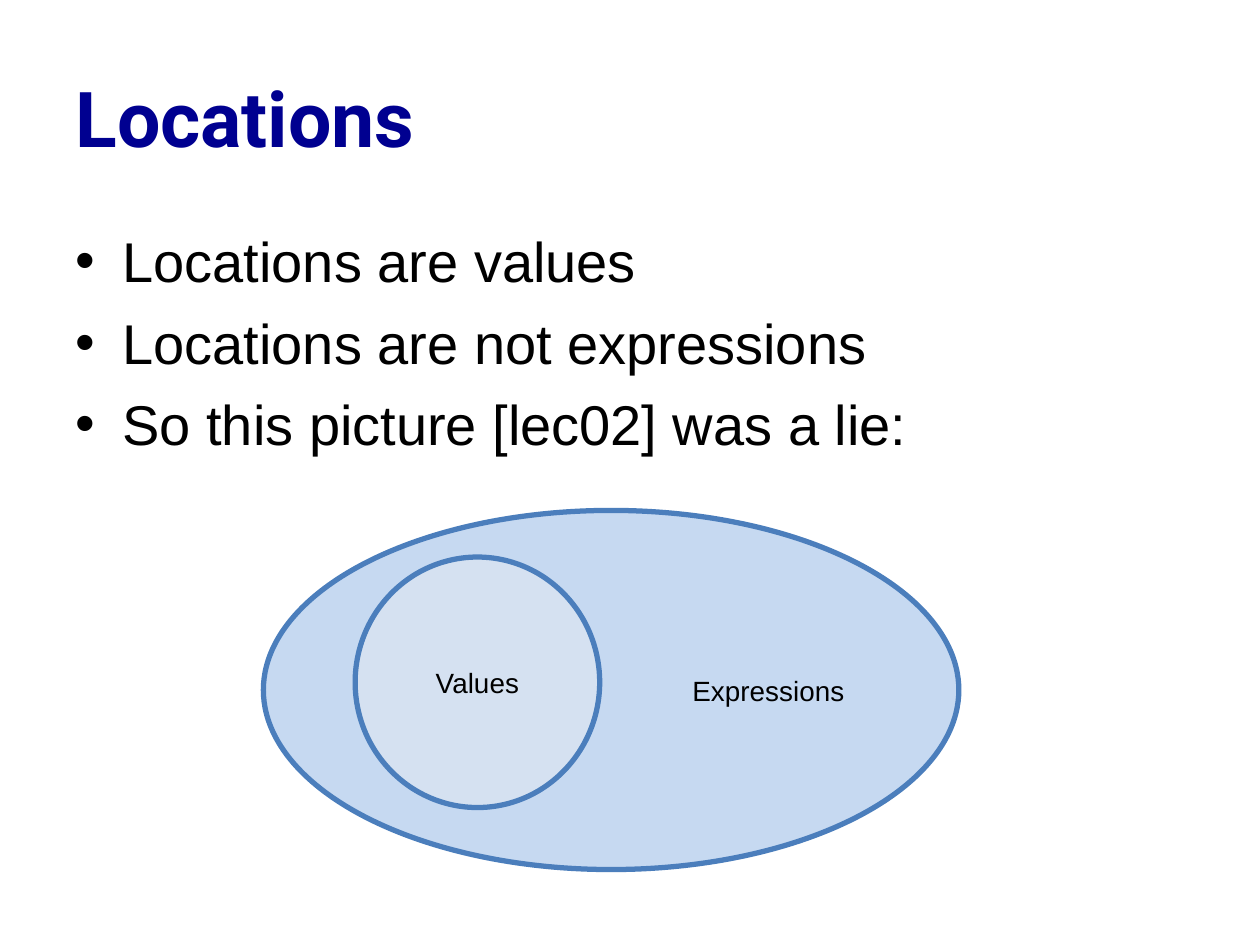
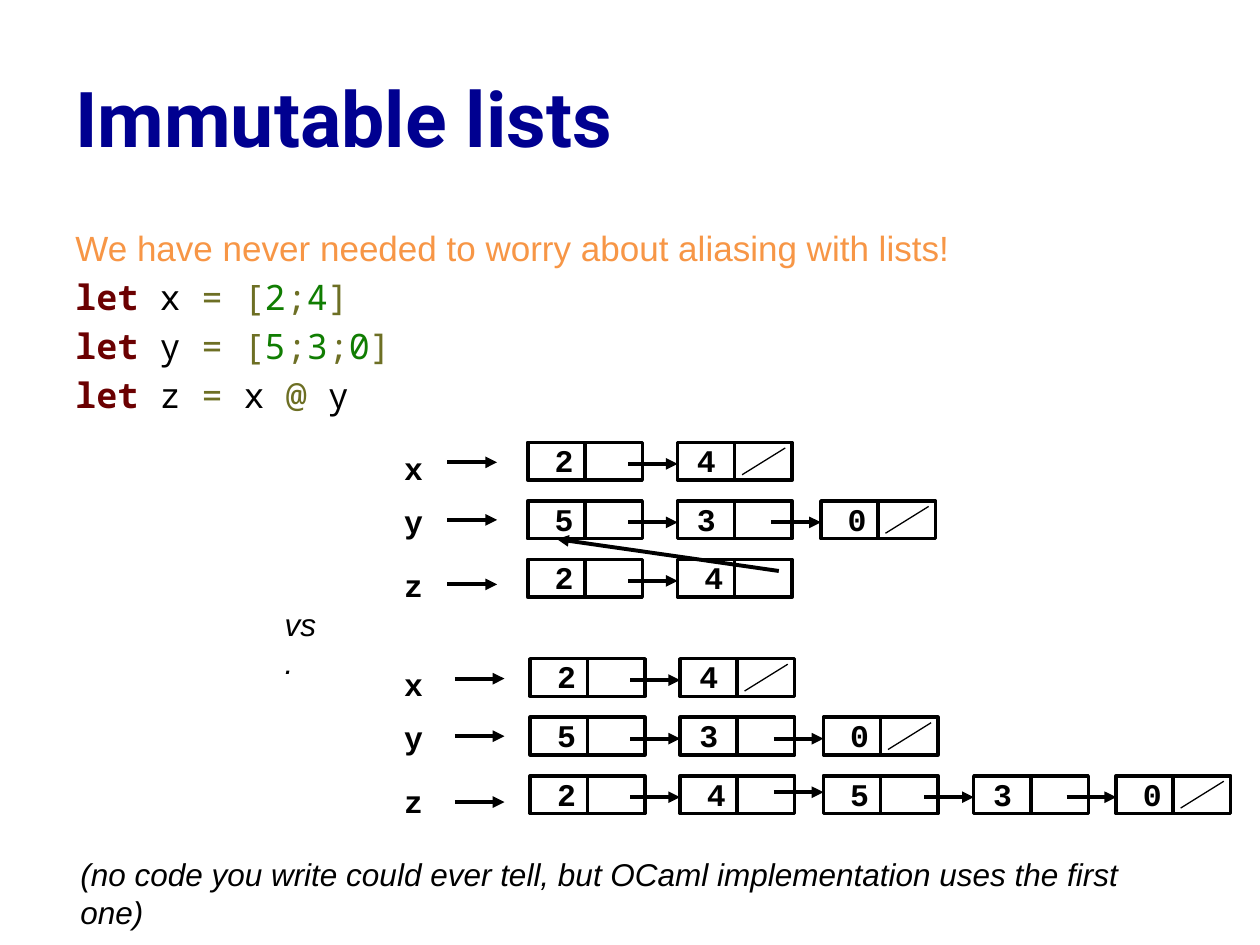
from dataclasses import dataclass
from itertools import groupby

from pptx import Presentation
from pptx.dml.color import RGBColor
from pptx.enum.shapes import MSO_CONNECTOR as Connector, MSO_SHAPE as Preset
from pptx.enum.text import MSO_ANCHOR as Anchor, PP_ALIGN as Align
from pptx.oxml.ns import qn
from pptx.util import Cm, Pt
from lxml.etree import SubElement


@dataclass(frozen=True)
class Theme:
    title_color: str = "000090"
    text_color: str = "000000"
    accent: str = "F79646"
    outer_fill: str = "C6D9F1"
    inner_fill: str = "DCE6F2"
    oval_line: str = "4B7EBC"
    keyword: str = "6B0001"
    number: str = "107D02"
    symbol: str = "6D6F24"
    title_font: str = "Roboto"
    body_font: str = "Arial"
    code_font: str = "Noto Sans Mono"
    cell_font: str = "Courier New"
    title_size: float = 44
    bullet_size: float = 32
    code_size: float = 20
    note_size: float = 18
    oval_size: float = 15.9


@dataclass(frozen=True)
class ListRow:
    name: str
    digits: str
    tight_column: int = 1      # column whose digit sits closer to the left edge
    name_shift: float = 0
    pointer_drop: float = 0.4
    ends_in_nil: bool = True
    raised_link: int = 0       # column whose incoming link is slightly higher


THEME = Theme()

# Measures of the list diagrams, in centimetres
BODY_BOX = (1.27, 4.45, 22.86, 12.57)
COLUMN_OFFSETS = (0, 3.02, 5.91, 8.94, 11.81)
ROW_PITCH = 1.18
CELL_WIDTH, CELL_HEIGHT = 2.31, 0.76
DIVIDER_OFFSET = 1.15
ARROW_LENGTH = 1.0
NAME_LEFT = 7.9


# Text

def style_run(run, size, font=THEME.body_font, color=THEME.text_color,
              bold=False, italic=False):
    run.font.size = Pt(size)
    run.font.name = font
    run.font.color.rgb = RGBColor.from_string(color)
    run.font.bold = bold
    run.font.italic = italic


def add_text(slide, box, text, size, anchor=Anchor.TOP, **style):
    shape = slide.shapes.add_textbox(*map(Cm, box))
    frame = shape.text_frame
    frame.word_wrap = True
    frame.vertical_anchor = anchor
    frame.text = text
    for paragraph in frame.paragraphs:
        for run in paragraph.runs:
            style_run(run, size, **style)
    return frame


def add_title(slide, text):
    add_text(slide, (1.27, 0.76, 22.86, 3.18), text, THEME.title_size,
             Anchor.MIDDLE, font=THEME.title_font, color=THEME.title_color,
             bold=True)


def set_spacing(paragraph, before, after):
    paragraph.space_before = Pt(before)
    paragraph.space_after = Pt(after)


def add_bullets(slide, lines):
    frame = add_text(slide, BODY_BOX, "\n".join(lines), THEME.bullet_size)
    for paragraph in frame.paragraphs:
        set_spacing(paragraph, 4, 4)
        properties = paragraph._p.get_or_add_pPr()
        properties.set("marL", str(Cm(0.95)))
        properties.set("indent", str(-Cm(0.95)))
        SubElement(properties, qn("a:buFont")).set("typeface", "Arial")
        SubElement(properties, qn("a:buChar")).set("char", "•")


def token_color(character):
    if character.isdigit():
        return THEME.number
    if character.isalpha() or character == " ":
        return THEME.text_color
    return THEME.symbol


def add_code_line(frame, keyword, rest):
    paragraph = frame.add_paragraph()
    paragraph.text = keyword
    style_run(paragraph.runs[0], THEME.code_size, THEME.code_font,
              THEME.keyword, bold=True)
    for color, characters in groupby(rest, token_color):
        run = paragraph.add_run()
        run.text = "".join(characters)
        style_run(run, THEME.code_size, THEME.code_font, color)
    set_spacing(paragraph, 2, 3)
    paragraph.line_spacing = Pt(23)


# Shapes and lines

def add_shape(slide, preset, box, line_color, line_width, fill=None):
    shape = slide.shapes.add_shape(preset, *map(Cm, box))
    shape.shadow.inherit = False
    if fill:
        shape.fill.solid()
        shape.fill.fore_color.rgb = RGBColor.from_string(fill)
    else:
        shape.fill.background()
    shape.line.color.rgb = RGBColor.from_string(line_color)
    shape.line.width = Pt(line_width)
    return shape


def add_oval(slide, box, label, fill, align, opacity=None):
    shape = add_shape(slide, Preset.OVAL, box, THEME.oval_line, 3, fill)
    if opacity:
        color = shape._element.spPr.find(qn("a:solidFill"))[0]
        SubElement(color, qn("a:alpha")).set("val", str(opacity * 1000))
    shape.text_frame.text = label
    paragraph = shape.text_frame.paragraphs[0]
    paragraph.alignment = align
    style_run(paragraph.runs[0], THEME.oval_size)


def add_line(slide, start, end, width, arrow=False):
    connector = slide.shapes.add_connector(
        Connector.STRAIGHT, *map(Cm, (*start, *end)))
    connector.line.color.rgb = RGBColor.from_string(THEME.text_color)
    connector.line.width = Pt(width)
    if arrow:
        line = connector.line._get_or_add_ln()
        SubElement(line, qn("a:tailEnd")).set("type", "triangle")
    SubElement(connector._element.spPr, qn("a:effectLst"))


def add_arrow(slide, left, y):
    add_line(slide, (left, y), (left + ARROW_LENGTH, y), 2.25, arrow=True)


# Linked lists

def add_cell(slide, left, top, digit, digit_offset):
    add_shape(slide, Preset.RECTANGLE, (left, top, CELL_WIDTH, CELL_HEIGHT),
              THEME.text_color, 2)
    divider = left + DIVIDER_OFFSET
    add_line(slide, (divider, top), (divider, top + CELL_HEIGHT), 2)
    add_text(slide, (left + digit_offset, top - 0.15, 0.78, 0.91), digit,
             THEME.note_size, font=THEME.cell_font, bold=True)


def add_list_row(slide, row, left, top, pointer_left):
    add_text(slide, (NAME_LEFT, top + row.name_shift, 0.76, 0.64), row.name,
             THEME.note_size, font=THEME.cell_font, bold=True)
    add_arrow(slide, pointer_left, top + row.pointer_drop)
    for column, digit in enumerate(row.digits):
        cell_left = left + COLUMN_OFFSETS[column]
        digit_offset = 0.14 if column == row.tight_column else 0.29
        add_cell(slide, cell_left, top, digit, digit_offset)
        if column:
            drop = 0.33 if column == row.raised_link else 0.43
            add_arrow(slide, cell_left - ARROW_LENGTH, top + drop)
    if row.ends_in_nil:
        add_line(slide, (cell_left + 1.3, top + 0.65),
                 (cell_left + 2.17, top + 0.11), 0.75)


def add_list_diagram(slide, rows, left, top, pointer_left):
    for index, row in enumerate(rows):
        add_list_row(slide, row, left, top + index * ROW_PITCH, pointer_left)


# Slides

def build_locations(slide):
    add_title(slide, "Locations")
    add_bullets(slide, ("Locations are values",
                        "Locations are not expressions",
                        "So this picture [lec02] was a lie:"))
    add_oval(slide, (5.31, 10.29, 14.02, 7.24), "Expressions",
             THEME.outer_fill, Align.RIGHT)
    add_oval(slide, (7.16, 11.23, 4.93, 5.05), "Values",
             THEME.inner_fill, Align.CENTER, opacity=69)


def build_immutable_lists(slide):
    add_title(slide, "Immutable lists")
    frame = add_text(
        slide, BODY_BOX,
        "We have never needed to worry about aliasing with lists!",
        THEME.code_size, color=THEME.accent)
    set_spacing(frame.paragraphs[0], 2, 3)
    for rest in (" x = [2;4]", " y = [5;3;0]", " z = x @ y"):
        add_code_line(frame, "let", rest)

    # Shared tail above, copied tail below
    row_x = ListRow("x", "24")
    row_y = ListRow("y", "530", name_shift=-0.1, pointer_drop=0.38)
    shared_z = ListRow("z", "24", tight_column=3, pointer_drop=0.5,
                       ends_in_nil=False)
    copied_z = ListRow("z", "24530", tight_column=3, pointer_drop=0.53,
                       raised_link=2)
    add_list_diagram(slide, (row_x, row_y, shared_z), 10.64, 8.92, 9.02)
    add_line(slide, (15.7, 11.51), (11.23, 10.87), 2.25, arrow=True)
    add_list_diagram(slide, (row_x, row_y, copied_z), 10.69, 13.28, 9.17)

    # Remarks
    add_text(slide, (5.49, 12.07, 1.24, 1.02), "vs.",
             THEME.note_size, italic=True)
    add_text(slide, (1.37, 17.12, 22.2, 1.02),
             "(no code you write could ever tell, but OCaml implementation "
             "uses the first one)", THEME.note_size, italic=True)


def main():
    presentation = Presentation()
    presentation.slide_width, presentation.slide_height = Cm(25.4), Cm(19.05)
    blank = presentation.slide_layouts[6]
    for build in (build_locations, build_immutable_lists):
        build(presentation.slides.add_slide(blank))
    presentation.save("out.pptx")


if __name__ == "__main__":
    main()
